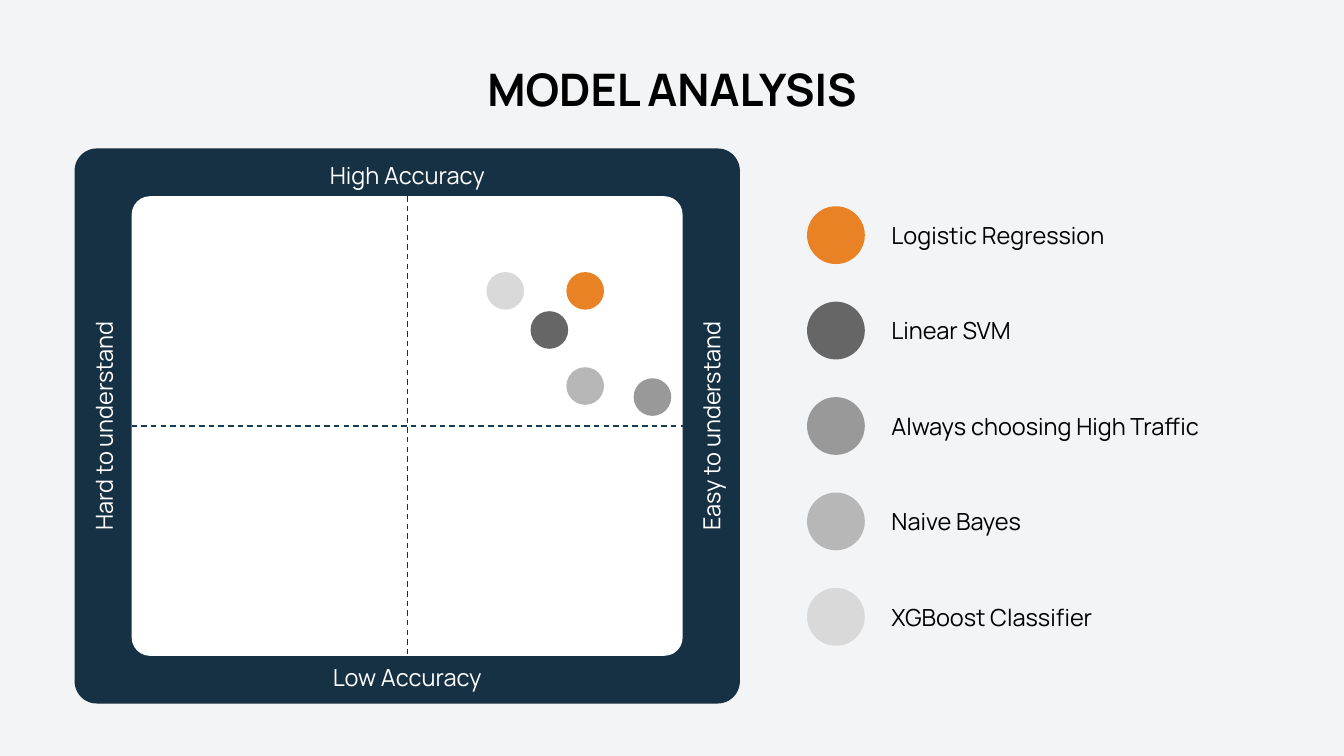
import pptx
import pptx.util
import pptx.dml.color
import pptx.enum.dml
import pptx.enum.shapes
import pptx.enum.text
import pptx.oxml.ns
from lxml import etree

COLORS = {
    "background": "F3F4F5", "frame": "163044", "axis": "173B55",
    "white": "FFFFFF", "black": "000000", "orange": "E98224",
    "dark": "666666", "medium": "999999", "soft": "B7B7B7", "pale": "D9D9D9",
}
TITLE = "MODEL ANALYSIS"
# model, colour, position in the matrix (percent across, percent down)
MODELS = [
    ("Logistic Regression", "orange", 82.3, 20.6),
    ("Linear SVM", "dark", 75.8, 29.1),
    ("Always choosing High Traffic", "medium", 94.5, 43.7),
    ("Naive Bayes", "soft", 82.3, 41.3),
    ("XGBoost Classifier", "pale", 67.8, 20.6),
]
# label, steps right and down from the matrix centre, rotation
SIDES = [
    ("Hard to understand", -1, 0, 270),
    ("Easy to understand", 1, 0, 270),
    ("High Accuracy", 0, -1, 0),
    ("Low Accuracy", 0, 1, 0),
]

WIDTH = 10
HEIGHT = WIDTH * 9 / 16
CENTER_X, CENTER_Y = 3.03, 3.17
FRAME_W, FRAME_H = 4.95, 4.13
MATRIX_W, MATRIX_H = 4.1, 3.42
SIDE_DX, SIDE_DY = 2.26, 1.87
DOT, KEY = 0.28, 0.43
LABEL_W, LABEL_H = 3.07, 0.43
KEY_X, LABEL_X, KEY_STEP = 6.22, 8.07, 0.71
FONT = {"name": "Manrope", "bold": False}

SHAPE = pptx.enum.shapes.MSO_SHAPE
ALIGN = pptx.enum.text.PP_ALIGN


def rgb(name):
    return pptx.dml.color.RGBColor.from_string(COLORS[name])


def box(cx, cy, w, h):
    """Left, top, width and height of a box centred on a point."""
    return [pptx.util.Inches(v) for v in (cx - w / 2, cy - h / 2, w, h)]


def add_filled(s, kind, cx, cy, w, h, color):
    sp = s.shapes.add_shape(kind, *box(cx, cy, w, h))
    sp.shadow.inherit = False
    sp.fill.solid()
    sp.fill.fore_color.rgb = rgb(color)
    sp.line.fill.background()
    return sp


def add_panel(s, w, h, color):
    sp = add_filled(s, SHAPE.ROUNDED_RECTANGLE, CENTER_X, CENTER_Y, w, h, color)
    sp.adjustments[0] = 0.04
    return sp


def add_text(s, text, cx, cy, w=LABEL_W, h=LABEL_H, color="black",
             align=ALIGN.CENTER, rotation=0, **font):
    sp = s.shapes.add_textbox(*box(cx, cy, w, h))
    sp.rotation = rotation
    tf = sp.text_frame
    margin = pptx.util.Inches(0.1)
    frame = {"word_wrap": True,
             "vertical_anchor": pptx.enum.text.MSO_ANCHOR.MIDDLE,
             "margin_left": margin, "margin_right": margin,
             "margin_top": margin, "margin_bottom": margin}
    for key, value in frame.items():
        setattr(tf, key, value)
    p = tf.paragraphs[0]
    p.alignment = align
    r = p.add_run()
    r.text = text
    for key, value in {**FONT, "size": pptx.util.Pt(12.6), **font}.items():
        setattr(r.font, key, value)
    r.font.color.rgb = rgb(color)


def add_axis(s, panel, begin, end, color):
    """Dashed line between two sides of the panel."""
    line = s.shapes.add_connector(
        pptx.enum.shapes.MSO_CONNECTOR.STRAIGHT, 0, 0, 0, 0)
    line.begin_connect(panel, begin)
    line.end_connect(panel, end)
    line.line.color.rgb = rgb(color)
    line.line.width = pptx.util.Pt(0.75)
    line.line.dash_style = pptx.enum.dml.MSO_LINE.DASH
    sp_pr = line._element.spPr
    etree.SubElement(sp_pr, pptx.oxml.ns.qn("a:effectLst"))


def main():
    prs = pptx.Presentation()
    prs.slide_width = pptx.util.Inches(WIDTH)
    prs.slide_height = pptx.util.Inches(HEIGHT)
    s = prs.slides.add_slide(prs.slide_layouts[6])
    s.background.fill.solid()
    s.background.fill.fore_color.rgb = rgb("background")

    add_panel(s, FRAME_W, FRAME_H, "frame")
    matrix = add_panel(s, MATRIX_W, MATRIX_H, "white")
    add_axis(s, matrix, 0, 2, "frame")
    add_axis(s, matrix, 1, 3, "axis")

    add_text(s, TITLE, WIDTH / 2, 0.66, 9.21, 0.53,
             size=pptx.util.Pt(24), bold=True)
    for label, dx, dy, rotation in SIDES:
        add_text(s, label, CENTER_X + dx * SIDE_DX, CENTER_Y + dy * SIDE_DY,
                 color="white", rotation=rotation)

    for i, (model, color, across, down) in enumerate(MODELS):
        x = CENTER_X + (across / 100 - 0.5) * MATRIX_W
        y = CENTER_Y + (down / 100 - 0.5) * MATRIX_H
        add_filled(s, SHAPE.OVAL, x, y, DOT, DOT, color)
        key_y = CENTER_Y + (i - len(MODELS) // 2) * KEY_STEP
        add_filled(s, SHAPE.OVAL, KEY_X, key_y, KEY, KEY, color)
        add_text(s, model, LABEL_X, key_y, align=ALIGN.LEFT)

    prs.save("out.pptx")


if __name__ == "__main__":
    main()
